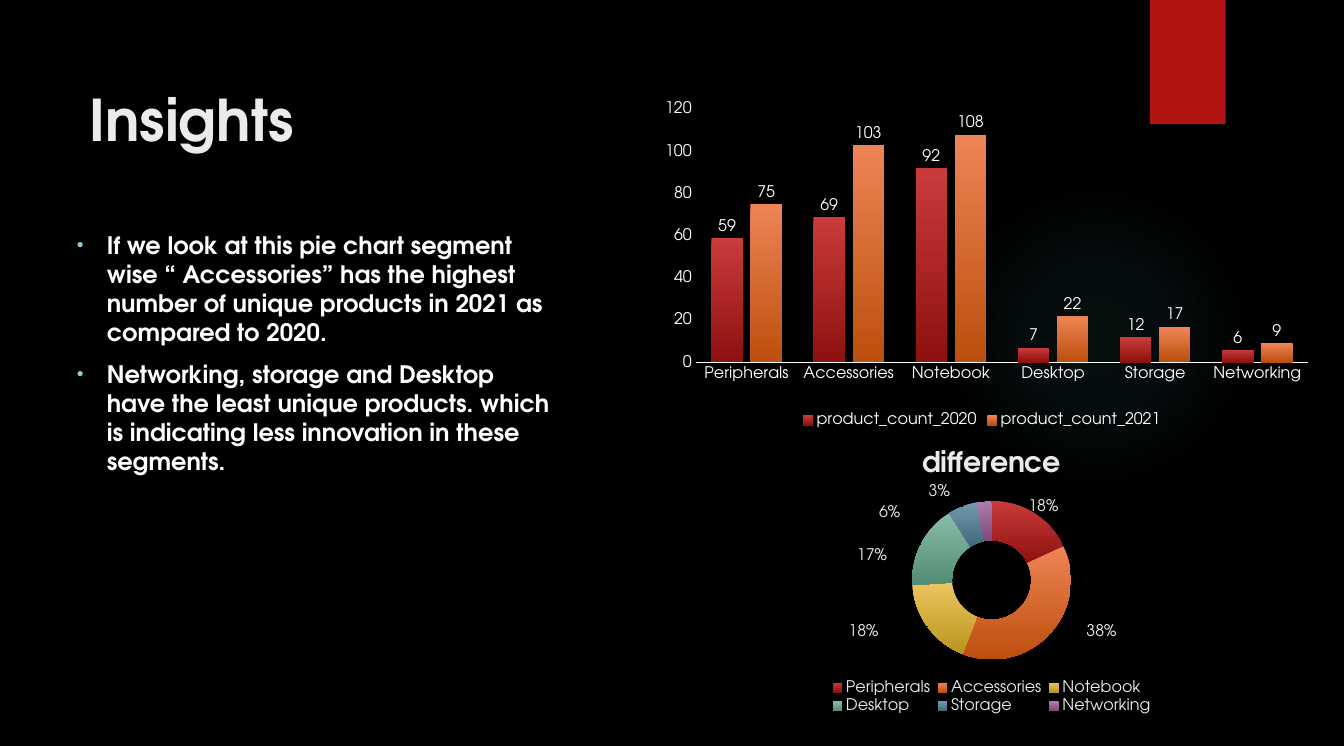
"""Build the Insights slide with a column chart and a doughnut chart."""
from copy import deepcopy
from dataclasses import dataclass
from lxml import etree
from pptx import Presentation
from pptx.chart.data import CategoryChartData
from pptx.dml.color import RGBColor
from pptx.enum.chart import XL_CHART_TYPE, XL_LABEL_POSITION, XL_LEGEND_POSITION, XL_TICK_MARK
from pptx.enum.shapes import MSO_SHAPE
from pptx.enum.text import MSO_ANCHOR, MSO_AUTO_SIZE, PP_ALIGN
from pptx.oxml import parse_xml
from pptx.oxml.ns import nsdecls, qn
from pptx.util import Pt

COLUMN, RING = XL_CHART_TYPE.COLUMN_CLUSTERED, XL_CHART_TYPE.DOUGHNUT
OUTSIDE, BOTTOM = XL_LABEL_POSITION.OUTSIDE_END, XL_LEGEND_POSITION.BOTTOM
NO_TICK = XL_TICK_MARK.NONE
OVAL, RECT = MSO_SHAPE.OVAL, MSO_SHAPE.RECTANGLE

TITLE = "Insights"
POINTS = [
    "If we look at this pie chart segment wise “ Accessories” has the highest "
    "number of unique products in 2021 as compared to 2020.",
    "Networking, storage and Desktop have the least unique products. which is "
    "indicating less innovation in these segments.",
]
SEGMENTS = ["Peripherals", "Accessories", "Notebook", "Desktop", "Storage", "Networking"]
COUNTS = {
    "product_count_2020": [59, 69, 92, 7, 12, 6],
    "product_count_2021": [75, 103, 108, 22, 17, 9],
}
SHARES = {"difference": [18, 38, 18, 17, 6, 3]}
SHIFTS = [(0.03, -0.08), (0.1, 0.04), (-0.12, 0.06), (-0.1, 0.01), (-0.12, -0.04), (-0.07, -0.1)]

SIZE = (1006.56, 558.72)
GLOW_BOX = (710.64, 136.8, 223.2, 229.68)
TAB_BOX = (861.12, 0, 56.88, 92.88)
TITLE_BOX = (59.76, 51.12, 264.96, 66.96)
BODY_BOX = (50.4, 169.2, 373.68, 307.44)
COUNT_BOX = (486, 76.32, 498.96, 246.96)
SHARE_BOX = (493.2, 323.28, 498.96, 216)


@dataclass(frozen=True)
class Theme:
    """Colours, font and type sizes."""
    font: str = "TeX Gyre Adventor"
    back: str = "000000"
    text: str = "FFFFFF"
    soft: str = "EBEBEB"
    tab: str = "B01513"
    glow: str = "50B9C1"
    bullet: str = "8AD0D6"
    fades: tuple = (("C93B3A", "8D110F"), ("EE8455", "BC4F0E"), ("EBC65F", "BB941F"),
                    ("89BDA7", "538C74"), ("7198AB", "436A7C"), ("AF7CAC", "7F4B7C"))
    title: float = 43
    head: float = 21.3
    body: float = 18
    label: float = 12


THEME = Theme()


def place(box):
    """Turn a box in points into lengths."""
    return [Pt(n) for n in box]


def style(font, size, color, bold=False):
    """Format a font."""
    font.name, font.size, font.bold = THEME.font, Pt(size), bold
    font.color.rgb = RGBColor.from_string(color)


def fade(fill, colors):
    """Fill with a gradient from top to bottom."""
    fill.gradient()
    fill.gradient_angle = 270
    for stop, color in zip(fill.gradient_stops, colors):
        stop.color.rgb = RGBColor.from_string(color)


def add_block(slide, kind, box, color):
    """Add a plain shape without a line."""
    shape = slide.shapes.add_shape(kind, *place(box))
    shape.shadow.inherit = False
    shape.line.fill.background()
    shape.fill.solid()
    shape.fill.fore_color.rgb = RGBColor.from_string(color)
    return shape


def add_decor(slide):
    """Add the soft glow and the red tab."""
    glow = add_block(slide, OVAL, GLOW_BOX, THEME.glow)
    stops = "".join(
        f'<a:gs pos="{at}000"><a:srgbClr val="{THEME.glow}"><a:alpha val="{alpha}000"/></a:srgbClr></a:gs>'
        for at, alpha in ((0, 7), (36, 6), (69, 0), (100, 0)))
    solid = glow._element.spPr.find(qn("a:solidFill"))
    solid.getparent().replace(solid, parse_xml(
        f'<a:gradFill {nsdecls("a")}><a:gsLst>{stops}</a:gsLst><a:path path="circle">'
        '<a:fillToRect l="50000" t="50000" r="50000" b="50000"/></a:path></a:gradFill>'))
    tab = add_block(slide, RECT, TAB_BOX, THEME.tab)
    tab._element.spPr.find(qn("a:effectLst")).append(parse_xml(
        f'<a:outerShdw {nsdecls("a")} blurRad="38100" dist="25400" dir="5400000">'
        '<a:srgbClr val="000000"><a:alpha val="45000"/></a:srgbClr></a:outerShdw>'))


def add_text(slide):
    """Fill the title and add the bullet list."""
    title = slide.shapes.title
    title.left, title.top, title.width, title.height = place(TITLE_BOX)
    frame = title.text_frame
    frame.text, frame.auto_size = TITLE, MSO_AUTO_SIZE.NONE
    frame.vertical_anchor = MSO_ANCHOR.BOTTOM
    frame.paragraphs[0].alignment = PP_ALIGN.LEFT
    style(frame.paragraphs[0].runs[0].font, THEME.title, THEME.soft, True)
    frame = slide.shapes.add_textbox(*place(BODY_BOX)).text_frame
    frame.word_wrap = True
    frame.text = "\n".join(POINTS)
    for para in frame.paragraphs:
        para.space_before = Pt(10.3)
        style(para.runs[0].font, THEME.body, THEME.text, True)
        props = para._p.get_or_add_pPr()
        props.set("marL", str(Pt(22.5)))
        props.set("indent", str(Pt(-22.5)))
        color = etree.SubElement(props, qn("a:buClr"))
        etree.SubElement(color, qn("a:srgbClr"), val=THEME.bullet)
        etree.SubElement(props, qn("a:buSzPct"), val="80000")
        etree.SubElement(props, qn("a:buFont"), typeface="Arial")
        etree.SubElement(props, qn("a:buChar"), char="•")


def make_layout(**parts):
    """Make a manual chart layout."""
    inner = "".join(f'<c:{key} val="{val}"/>' for key, val in parts.items())
    return parse_xml(f'<c:layout {nsdecls("c")}><c:manualLayout>{inner}</c:manualLayout></c:layout>')


def set_layout(node, index, x, y, w, h, **extra):
    """Give a chart part a fixed place."""
    for old in node.findall(qn("c:layout")):
        node.remove(old)
    node.insert(index, make_layout(**extra, xMode="edge", yMode="edge", x=x, y=y, w=w, h=h))


def add_graph(slide, kind, box, table, plot, ink):
    """Add a chart with its legend and plot place."""
    data = CategoryChartData()
    data.categories = SEGMENTS
    for name, vals in table.items():
        data.add_series(name, vals)
    chart = slide.shapes.add_chart(kind, *place(box), data).chart
    style(chart.font, 10, THEME.text)
    chart.has_title = False
    chart.has_legend = True
    chart.legend.position = BOTTOM
    chart.legend.include_in_layout = False
    style(chart.legend.font, THEME.label, ink)
    set_layout(chart._chartSpace.chart.plotArea, 0, *plot, layoutTarget="inner")
    return chart


def add_counts(slide):
    """Add the column chart."""
    chart = add_graph(slide, COLUMN, COUNT_BOX, COUNTS, (0.07, 0.02, 0.92, 0.77), THEME.text)
    plot = chart.plots[0]
    plot.gap_width, plot.overlap, plot.vary_by_categories = 100, -24, False
    for axis in (chart.category_axis, chart.value_axis):
        axis.major_tick_mark = axis.minor_tick_mark = NO_TICK
        axis.has_major_gridlines = False
        style(axis.tick_labels.font, THEME.label, THEME.text)
    line = chart.category_axis.format.line
    line.width = Pt(1)
    line.color.rgb = RGBColor.from_string(THEME.text)
    axis = chart.value_axis
    axis.format.line.fill.background()
    axis.minimum_scale, axis.maximum_scale, axis.major_unit = 0, 120, 20
    for series, colors in zip(plot.series, THEME.fades):
        fade(series.format.fill, colors)
        labels = series.data_labels
        labels.show_value, labels.position = True, OUTSIDE
        style(labels.font, THEME.label, THEME.text)


def add_shares(slide):
    """Add the doughnut chart with labels around the ring."""
    chart = add_graph(slide, RING, SHARE_BOX, SHARES, (0.38, 0.24, 0.24, 0.55), THEME.soft)
    set_layout(chart.legend._element, 1, 0.25, 0.85, 0.5, 0.14)
    frame = chart.chart_title.text_frame
    frame.text = next(iter(SHARES))
    style(frame.paragraphs[0].runs[0].font, THEME.head, THEME.soft, True)
    plot = chart.plots[0]
    plot.vary_by_categories = True
    plot._element.find(qn("c:holeSize")).set("val", "75")
    series = plot.series[0]
    labels = series.data_labels
    labels.show_value, labels.show_percentage = False, True
    labels.number_format, labels.number_format_is_linked = "0%", False
    style(labels.font, THEME.label, THEME.soft)
    root = labels._element
    leader = qn("c:showLeaderLines")
    shared = [node for node in root if node.tag != leader]
    for i, (x, y) in enumerate(SHIFTS):
        fade(series.points[i].format.fill, THEME.fades[i])
        label = etree.Element(qn("c:dLbl"))
        etree.SubElement(label, qn("c:idx"), val=str(i))
        label.append(make_layout(x=x, y=y))
        label.extend(deepcopy(shared))
        root.insert(i, label)
    if root.find(leader) is None:
        etree.SubElement(root, leader)
    root.find(leader).set("val", "1")


def main():
    """Build and save the slide."""
    deck = Presentation()
    deck.slide_width, deck.slide_height = place(SIZE)
    slide = deck.slides.add_slide(deck.slide_layouts[5])
    slide.background.fill.solid()
    slide.background.fill.fore_color.rgb = RGBColor.from_string(THEME.back)
    for step in (add_decor, add_text, add_counts, add_shares):
        step(slide)
    deck.save("out.pptx")


if __name__ == "__main__":
    main()
